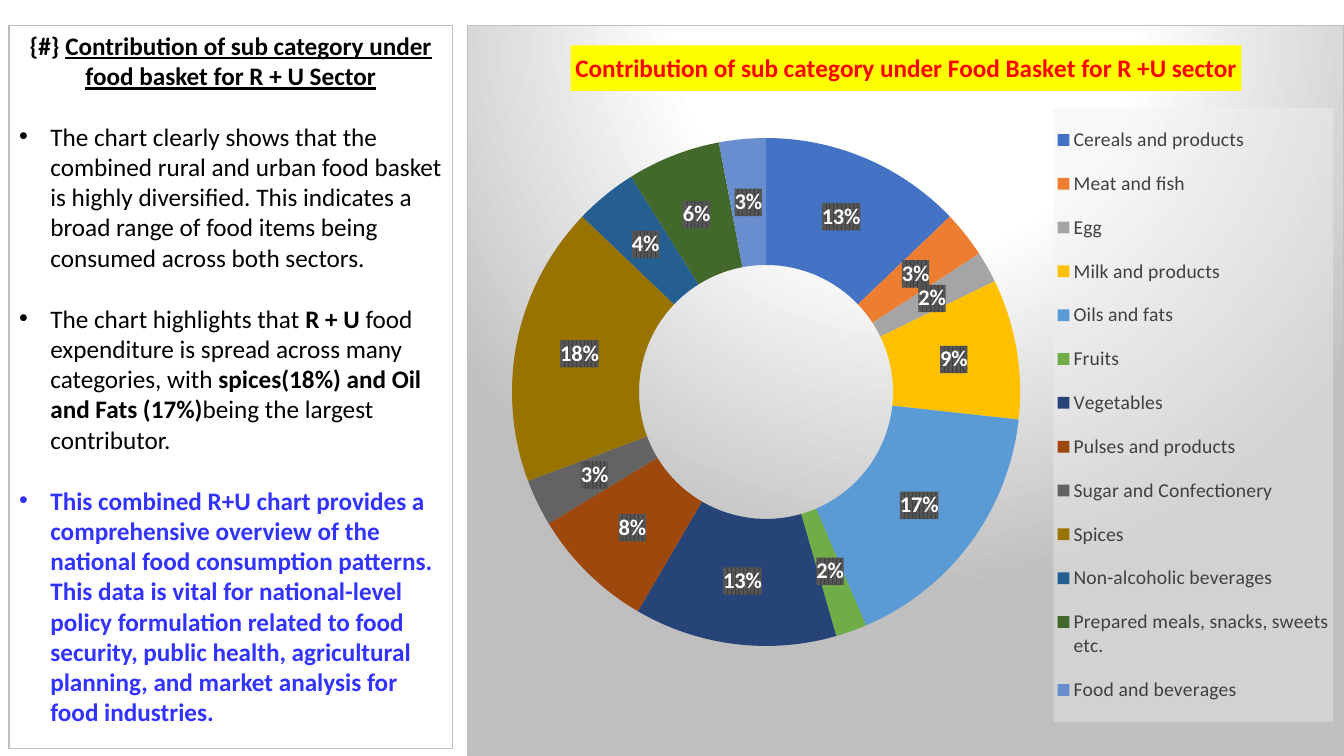
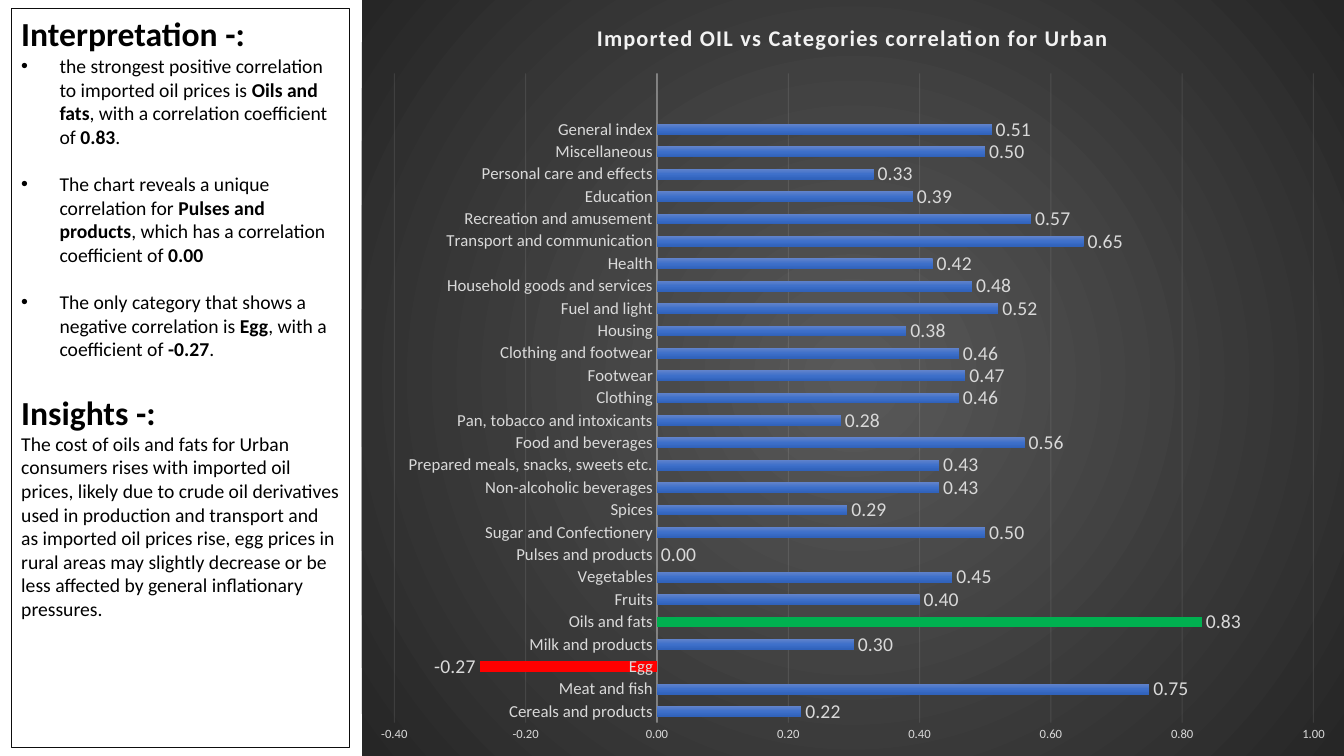
from dataclasses import dataclass
from typing import Optional

import lxml.etree
import pptx
import pptx.chart.data
import pptx.dml.color
import pptx.enum.chart
import pptx.enum.text
import pptx.oxml
import pptx.oxml.ns
import pptx.util

# Shared look
FONT = "Calibri"
BLACK, WHITE, BLUE = "000000", "FFFFFF", "3333FF"
GREY, PALE = "D9D9D9", "F2F2F2"
WIDTH, HEIGHT = pptx.util.Inches(13.33), pptx.util.Inches(7.5)
COL, ROW = WIDTH / 100, HEIGHT / 100  # the slide is a grid of 100 by 100
Pt, Inches, qn = pptx.util.Pt, pptx.util.Inches, pptx.oxml.ns.qn
LEFT, CENTER = pptx.enum.text.PP_ALIGN.LEFT, pptx.enum.text.PP_ALIGN.CENTER


@dataclass
class Box:
    """A rectangle in columns and rows of the slide grid."""
    x: float
    y: float
    w: float
    h: float

    def place(self) -> tuple:
        return (round(self.x * COL), round(self.y * ROW),
                round(self.w * COL), round(self.h * ROW))


@dataclass
class Para:
    """A paragraph; parts between asterisks are bold."""
    text: str
    size: int
    indent: float = 0
    before: float = 0
    color: str = BLACK


@dataclass
class Panel:
    box: Box
    border: str
    head_rows: float
    head: list  # (text, underlined) parts
    head_size: int
    align: int
    paras: list


@dataclass
class ChartLook:
    box: Box
    title: str
    title_size: int
    title_color: str
    title_at: tuple  # shares of the chart
    plot_at: tuple
    stops: list
    focus: tuple
    title_fill: Optional[str] = None
    border: Optional[str] = None


FOOD = ["Cereals and products", "Meat and fish", "Egg", "Milk and products",
        "Oils and fats", "Fruits", "Vegetables", "Pulses and products",
        "Sugar and Confectionery", "Spices", "Non-alcoholic beverages",
        "Prepared meals, snacks, sweets etc.", "Food and beverages"]
SHARES = [13, 3, 2, 9, 17, 2, 13, 8, 3, 18, 4, 6, 3]
SLICES = ["4472C4", "ED7D31", "A5A5A5", "FFC000", "5B9BD5", "70AD47", "264478",
          "9E480E", "636363", "997300", "255E91", "43682B", "698ED0"]
OTHER = ["Pan, tobacco and intoxicants", "Clothing", "Footwear",
         "Clothing and footwear", "Housing", "Fuel and light",
         "Household goods and services", "Health", "Transport and communication",
         "Recreation and amusement", "Education", "Personal care and effects",
         "Miscellaneous", "General index"]
CORRELATIONS = [0.22, 0.75, -0.27, 0.3, 0.83, 0.4, 0.45, 0, 0.5, 0.29, 0.43,
                0.43, 0.56, 0.28, 0.46, 0.47, 0.46, 0.38, 0.52, 0.48, 0.42,
                0.65, 0.57, 0.39, 0.33, 0.5, 0.51]

BASKET_PANEL = Panel(
    Box(0.67, 3.33, 33, 95.75), "BDBDBD", 12.67,
    [("{#} ", False),
     ("Contribution of sub category under food basket for R + U Sector", True)],
    18, CENTER,
    [Para("The chart clearly shows that the combined rural and urban food basket "
          "is highly diversified. This indicates a broad range of food items "
          "being consumed across both sectors.", 18, 0.31),
     Para("The chart highlights that *R + U* food expenditure is spread across "
          "many categories, with* spices(18%) and Oil and Fats (17%)*being the "
          "largest contributor.", 18, 0.31, 22),
     Para("*This combined R+U chart provides a comprehensive overview of the "
          "national food consumption patterns. This data is vital for "
          "national-level policy formulation related to food security, public "
          "health, agricultural planning, and market analysis for food "
          "industries.*", 18, 0.31, 22, BLUE)])
OIL_PANEL = Panel(
    Box(0.83, 1.07, 25.2, 97.87), "0D0D0D", 6.1,
    [("Interpretation -:", False)], 24, LEFT,
    [Para("the strongest positive correlation to imported oil prices is *Oils and "
          "fats*, with a correlation coefficient of *0.83*.", 14, 0.38),
     Para("The chart reveals a unique correlation for *Pulses and products*, which "
          "has a correlation coefficient of *0.00*", 14, 0.38, 17),
     Para("The only category that shows a negative correlation is *Egg*, with a "
          "coefficient of *-0.27*.", 14, 0.38, 17),
     Para("*Insights -:*", 24, before=22),
     Para("The cost of oils and fats for Urban consumers rises with imported oil "
          "prices, likely due to crude oil derivatives used in production and "
          "transport and as imported oil prices rise, egg prices in rural areas "
          "may slightly decrease or be less affected by general inflationary "
          "pressures.", 14)])
BASKET_LOOK = ChartLook(
    Box(34.73, 3.33, 65.27, 96.67),
    "Contribution of sub category under Food Basket for R +U sector",
    18, "FF0000", (0.118, 0.027), (0.051, 0.129, 0.58, 0.746),
    [(0, WHITE), (39, WHITE), (100, "BFBFBF")], (50, -80, 50, 180),
    "FFFF00", "BFBFBF")
OIL_LOOK = ChartLook(
    Box(26.93, 0, 73.07, 100), "Imported OIL vs Categories correlation for Urban",
    16, PALE, (0.235, 0.025), (0.033, 0.097, 0.936, 0.859),
    [(0, "595959"), (100, "262626")], (50, 50, 50, 50))


# Formatting helpers
def rgb(color: str) -> pptx.dml.color.RGBColor:
    return pptx.dml.color.RGBColor.from_string(color)


def style(font, size: float, color: str, bold: bool = False) -> None:
    font.name, font.size, font.bold = FONT, Pt(size), bold
    font.color.rgb = rgb(color)


def fill_xml(tag: str, inner: str):
    ns = pptx.oxml.ns.nsdecls("c", "a")
    return pptx.oxml.parse_xml(f"<{tag} {ns}>{inner}</{tag}>")


def gradient(stops: list, direction: str) -> str:
    marks = "".join(f'<a:gs pos="{pos * 1000}"><a:srgbClr val="{color}"/></a:gs>'
                    for pos, color in stops)
    return f"<a:gradFill><a:gsLst>{marks}</a:gsLst>{direction}</a:gradFill>"


def set_layout(parent, shares: tuple, after: Optional[str] = None,
               inner: bool = False) -> None:
    for old in parent.findall(qn("c:layout")):
        parent.remove(old)
    parts = '<c:layoutTarget val="inner"/>' if inner else ""
    parts += '<c:xMode val="edge"/><c:yMode val="edge"/>'
    parts += "".join(f'<c:{k} val="{v}"/>' for k, v in zip("xywh", shares))
    layout = fill_xml("c:layout", f"<c:manualLayout>{parts}</c:manualLayout>")
    if after:
        parent.find(qn(after)).addnext(layout)
    else:
        parent.insert(0, layout)


def set_alpha(owner, query: str, percent: int) -> None:
    for color in owner.xpath(query):
        alpha = lxml.etree.SubElement(color, qn("a:alpha"))
        alpha.set("val", str(percent * 1000))


# Text panel: title above a bordered list
def fit_frame(tf, top: int) -> None:
    tf.word_wrap = True
    tf.auto_size = pptx.enum.text.MSO_AUTO_SIZE.NONE
    tf.vertical_anchor = pptx.enum.text.MSO_ANCHOR.TOP
    tf.margin_left = tf.margin_right = Inches(0.1)
    tf.margin_top, tf.margin_bottom = top, Inches(0.05)


def add_para(p, para: Para) -> None:
    ppr = p._p.get_or_add_pPr()
    ppr.set("marL", str(Inches(para.indent)))
    ppr.set("indent", str(-Inches(para.indent)))
    if para.indent:
        lxml.etree.SubElement(ppr, qn("a:buChar")).set("char", "•")
    else:
        lxml.etree.SubElement(ppr, qn("a:buNone"))
    p.alignment = LEFT
    p.space_before = Pt(para.before)
    for i, part in enumerate(para.text.split("*")):
        if part:
            r = p.add_run()
            r.text = part
            style(r.font, para.size, para.color, i % 2 == 1)


def add_panel(slide, panel: Panel) -> None:
    box = panel.box
    title, body = slide.shapes.title, slide.placeholders[1]
    head = Box(box.x, box.y, box.w, panel.head_rows)
    for sp, area in ((title, head), (body, box)):
        sp.left, sp.top, sp.width, sp.height = area.place()
    fit_frame(title.text_frame, Inches(0.05))
    p = title.text_frame.paragraphs[0]
    p.alignment = panel.align
    for text, underlined in panel.head:
        r = p.add_run()
        r.text = text
        style(r.font, panel.head_size, BLACK, True)
        r.font.underline = underlined

    body.line.color.rgb = rgb(panel.border)
    body.line.width = Pt(0.75)
    tf = body.text_frame
    fit_frame(tf, round(panel.head_rows * ROW))
    for i, para in enumerate(panel.paras):
        add_para(tf.add_paragraph() if i else tf.paragraphs[0], para)


# Charts
def add_chart(slide, kind, cats: list, values: list, look: ChartLook):
    data = pptx.chart.data.CategoryChartData()
    data.categories = cats
    data.add_series("Series 1", values)
    chart = slide.shapes.add_chart(kind, *look.box.place(), data).chart
    style(chart.font, 10, BLACK)
    chart.has_legend = False
    chart.has_title = True
    title = chart.chart_title
    title.text_frame.text = look.title
    style(title.text_frame.paragraphs[0].runs[0].font, look.title_size,
          look.title_color, True)
    if look.title_fill:
        title.format.fill.solid()
        title.format.fill.fore_color.rgb = rgb(look.title_fill)
    root = chart._chartSpace
    set_layout(title._element, look.title_at, "c:tx")
    set_layout(root.chart.plotArea, look.plot_at, inner=True)
    sides = " ".join(f'{k}="{v * 1000}"' for k, v in zip("ltrb", look.focus))
    area = gradient(look.stops, f'<a:path path="circle"><a:fillToRect {sides}/></a:path>')
    edge = (f'<a:solidFill><a:srgbClr val="{look.border}"/></a:solidFill>'
            if look.border else "<a:noFill/>")
    root.chart.addnext(fill_xml("c:spPr", f'{area}<a:ln w="9525">{edge}</a:ln>'))
    return chart


def paint_points(series, colors: dict) -> None:
    for i, color in colors.items():
        fill = series.points[i].format.fill
        fill.solid()
        fill.fore_color.rgb = rgb(color)


def add_basket_chart(slide) -> None:
    chart = add_chart(slide, pptx.enum.chart.XL_CHART_TYPE.DOUGHNUT, FOOD, SHARES,
                      BASKET_LOOK)
    series = chart.plots[0].series[0]
    paint_points(series, dict(enumerate(SLICES)))
    labels = series.data_labels
    labels.show_percentage, labels.show_value = True, False
    style(labels.font, 16, WHITE, True)
    pattern = ('<a:pattFill prst="pct75"><a:fgClr><a:srgbClr val="404040"/></a:fgClr>'
               '<a:bgClr><a:srgbClr val="595959"/></a:bgClr></a:pattFill>')
    labels._element.find(qn("c:txPr")).addprevious(fill_xml("c:spPr", pattern))

    chart.has_legend = True
    legend = chart.legend
    legend.position = pptx.enum.chart.XL_LEGEND_POSITION.RIGHT
    legend.include_in_layout = False
    style(legend.font, 14, "404040")
    set_layout(legend._element, (0.669, 0.113, 0.319, 0.841), "c:legendPos")
    veil = (f'<a:solidFill><a:srgbClr val="{PALE}"><a:alpha val="39000"/>'
            '</a:srgbClr></a:solidFill>')
    legend._element.find(qn("c:overlay")).addnext(fill_xml("c:spPr", veil))


def add_oil_chart(slide) -> None:
    chart = add_chart(slide, pptx.enum.chart.XL_CHART_TYPE.BAR_CLUSTERED,
                      FOOD + OTHER + ["", ""], CORRELATIONS + [None, None], OIL_LOOK)
    title_run = chart.chart_title.text_frame.paragraphs[0].runs[0]
    title_run.font._element.set("spc", "100")
    plot = chart.plots[0]
    plot.gap_width, plot.overlap, plot.vary_by_categories = 115, -20, False
    series = plot.series[0]
    series.invert_if_negative = False
    bar = gradient([(0, "6183CB"), (50, "3E70CA"), (100, "3062BB")],
                   '<a:lin ang="5400000" scaled="0"/>')
    series._element.get_or_add_spPr().append(fill_xml("c:spPr", bar)[0])
    paint_points(series, {2: "FF0000", 4: "00B050"})
    labels = series.data_labels
    labels.show_value = True
    labels.number_format, labels.number_format_is_linked = "0.00", False
    labels.position = pptx.enum.chart.XL_LABEL_POSITION.OUTSIDE_END
    style(labels.font, 14, GREY)

    cat, val = chart.category_axis, chart.value_axis
    for axis, size in ((cat, 12), (val, 9)):
        axis.major_tick_mark = pptx.enum.chart.XL_TICK_MARK.NONE
        style(axis.tick_labels.font, size, GREY)
    val.minimum_scale, val.maximum_scale, val.major_unit = -0.4, 1, 0.2
    val.tick_labels.number_format = "0.00"
    val.tick_labels.number_format_is_linked = False
    val.format.line.fill.background()
    for line, width in ((cat.format.line, 1), (val.major_gridlines.format.line, 0.75)):
        line.color.rgb = rgb(PALE)
        line.width = Pt(width)
    set_alpha(cat._element, "c:spPr//a:srgbClr", 54)
    set_alpha(val._element, "c:majorGridlines//a:srgbClr", 10)


def main() -> None:
    prs = pptx.Presentation()
    prs.slide_width, prs.slide_height = WIDTH, HEIGHT
    for panel, draw_chart in ((BASKET_PANEL, add_basket_chart),
                              (OIL_PANEL, add_oil_chart)):
        slide = prs.slides.add_slide(prs.slide_layouts[1])
        add_panel(slide, panel)
        draw_chart(slide)
    prs.save("out.pptx")


if __name__ == "__main__":
    main()
